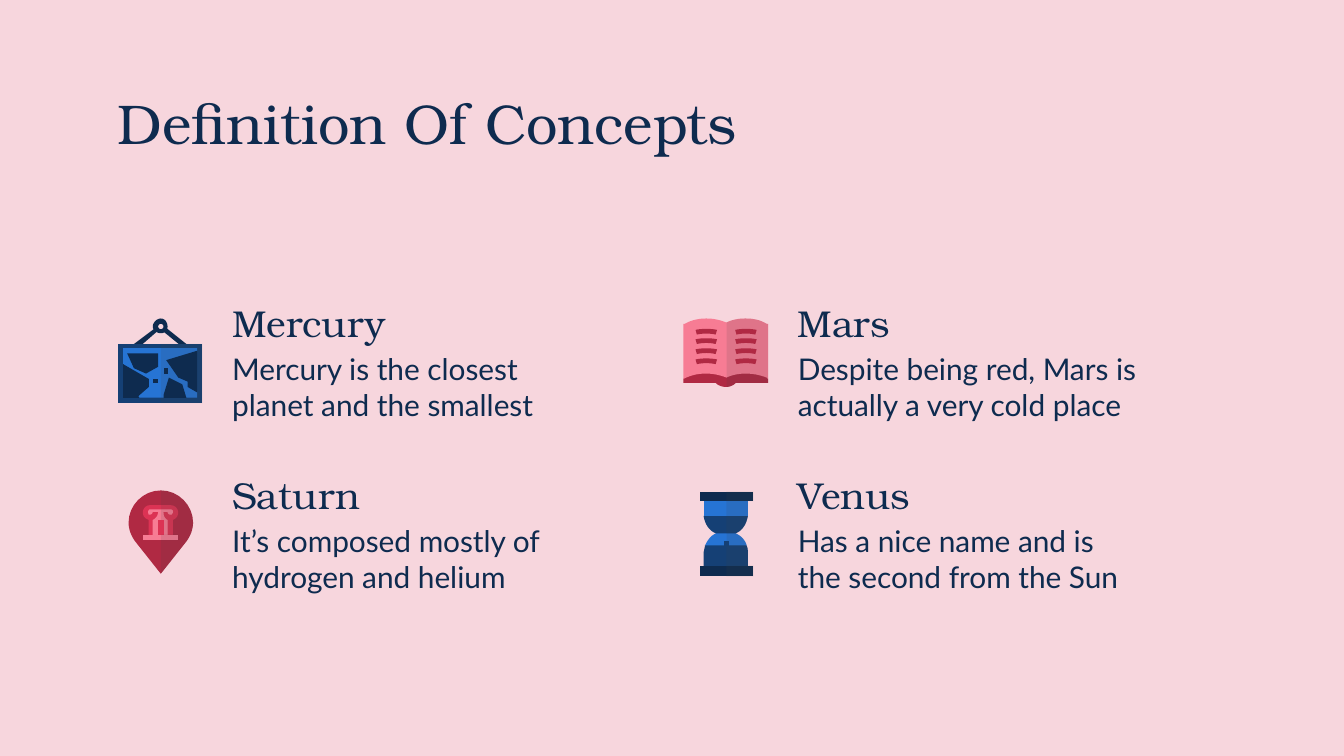
import typing

import lxml.etree
import pptx
import pptx.dml.color
import pptx.enum.text
import pptx.oxml.ns
import pptx.util

Cm = pptx.util.Cm
RGB = pptx.dml.color.RGBColor
Anchor = pptx.enum.text.MSO_ANCHOR

PINK = RGB(0xF7, 0xD6, 0xDD)
NAVY = RGB(0x0E, 0x2B, 0x4F)
DEEP_BLUE = RGB(0x15, 0x40, 0x75)
BLUE = RGB(0x26, 0x74, 0xD4)
CRIMSON = RGB(0xB0, 0x29, 0x43)
RED = RGB(0xDC, 0x33, 0x54)
ROSE = RGB(0xF7, 0x7C, 0x94)
SHADE = RGB(0x43, 0x43, 0x43)
SHADE_ALPHA = "13000"

SERIF, SANS = "TeX Gyre Bonum", "Lato"
ICON_UNIT = 2.54 / 100
CURVE_STEPS = 8
INSET = Cm(0.25)
COLUMN_GAP, ROW_GAP = 10.69, 3.25
ICON_CENTER, ICON_TOP = 3.04, 6.02
TEXT_LEFT, TEXT_WIDTH = 4.14, 6.91
HEADING_TOP, HEADING_HEIGHT = 5.41, 1.37
BODY_TOP, BODY_HEIGHT = 6.38, 1.6

Point = tuple[float, float]


class Part(typing.NamedTuple):
    color: RGB
    outline: str
    shaded: bool = False


class Concept(typing.NamedTuple):
    heading: str
    body: str
    column: int
    row: int
    icon: list[Part]


def box(left: float, top: float, right: float, bottom: float) -> str:
    return f"{left},{top} {right},{top} {right},{bottom} {left},{bottom}"


def text_line(x: float, y: float) -> str:
    return (f"{x - 8},{y + 0.5} {x - 3},{y - 0.5},{x + 3},{y - 0.5},{x + 8},{y + 0.5} "
            f"{x + 7},{y + 4} {x + 2},{y + 3},{x - 2},{y + 3},{x - 7},{y + 4}")


PAINTING = [
    Part(NAVY, "-4,7 -20,19 -17,22 -2,9"),
    Part(NAVY, "4,7 1,9 17,22 19,19"),
    Part(DEEP_BLUE, box(-32, 19, 31, 63), True),
    Part(BLUE, "-28,22 -28,34 -16,59 2,59 9,57 19,59 27,59 27,55 24,36 27,24 27,22", True),
    Part(NAVY, "0,4 1,4,2,5,2,6 2,7,1,8,0,8 -1,8,-2,7,-2,6 -2,5,-1,4,0,4 "
               "0,0 -3,0,-6,3,-6,6 -6,9,-3,11,0,11 3,11,5,9,5,6 5,3,3,0,0,0"),
    Part(NAVY, "-25,26 -20,37 -11,41 -2,36 -2,26"),
    Part(NAVY, box(-6, 45, -2, 48)),
    Part(NAVY, "-28,34 -28,59 -16,59 -17,58 -9,51 -9,45"),
    Part(NAVY, box(2, 37, 5, 41)),
    Part(NAVY, "27,24 4,31 13,44 20,47 20,51 27,55"),
    Part(NAVY, "6,44 2,57 2,59 19,59 16,49"),
]
BOOK = [
    Part(CRIMSON, "0,33 -28,40 -32,45 -32,48 -8,48 -6,50,-3,51,0,51 2,51,5,50,7,48 "
                  "31,48 31,45 28,40", True),
    Part(ROSE, "-15,0 -20,0,-26,1,-31,4 -32,4 -32,45 -26,42,-21,41,-15,41 -10,41,-5,42,0,44 "
               "4,42,9,41,14,41 20,41,25,42,30,44 31,45 31,4 30,4 25,1,20,0,14,0 "
               "9,0,4,1,0,3 -5,1,-10,0,-15,0", True),
    *(Part(CRIMSON, text_line(x, y)) for y in (8, 15, 22.5, 30) for x in (-15, 14.5)),
]
PIN = [
    Part(CRIMSON, "0,0 -13,0,-24,11,-24,24 -24,29,-22,34,-19,38 0,62 19,38 "
                  "22,34,24,29,24,24 24,11,13,0,0,0", True),
    Part(RED, "-8,11 -14,11,-16,20,-9,22 -9,35 9,35 9,22 15,20,14,11,7,11", True),
    Part(ROSE, "-8,14 -9,14,-10,16,-9,18 -8,18 -7,18,-6,17,-6,16 -2,16 -2,19,-4,21,-6,22 "
               "-6,35 5,35 5,22 3,21,2,19,2,16 5,16 5,17,6,18,7,18 8,18 10,16,9,14,7,14", True),
    Part(RED, box(-2, 22, 2, 35)),
    Part(ROSE, box(-13, 33, 13, 37), True),
]
HOURGLASS = [
    Part(BLUE, "0,29 -8,32 -12,34,-14,37,-16,41 0,45 15,41 14,37,11,34,7,32", True),
    Part(DEEP_BLUE, "0,16 -17,19 -16,25,-13,30,-8,32 7,32 12,30,15,25,16,19", True),
    Part(BLUE, box(-17, 5, 16, 19), True),
    Part(NAVY, box(-20, 1, 20, 8), True),
    Part(DEEP_BLUE, box(-2, 38, 2, 43)),
    Part(DEEP_BLUE, "-16,41 -16,43,-17,45,-17,47 -17,60 16,60 16,47 16,45,16,43,15,41", True),
    Part(NAVY, box(-20, 56, 20, 64), True),
]
CONCEPTS = [
    Concept("Mercury", "Mercury is the closest planet and the smallest", 0, 0, PAINTING),
    Concept("Saturn", "It’s composed mostly of hydrogen and helium", 0, 1, PIN),
    Concept("Mars", "Despite being red, Mars is actually a very cold place", 1, 0, BOOK),
    Concept("Venus", "Has a nice name and is the second from the Sun", 1, 1, HOURGLASS),
]


def trace(outline: str) -> list[Point]:
    points: list[Point] = []
    for segment in outline.split():
        values = [float(value) for value in segment.split(",")]
        if len(values) == 2:
            points.append((values[0], values[1]))
            continue
        controls = [points[-1], *zip(values[::2], values[1::2])]
        for step in range(1, CURVE_STEPS + 1):
            t = step / CURVE_STEPS
            weights = ((1 - t) ** 3, 3 * t * (1 - t) ** 2, 3 * t * t * (1 - t), t ** 3)
            points.append((sum(w * x for w, (x, _) in zip(weights, controls)),
                           sum(w * y for w, (_, y) in zip(weights, controls))))
    return points


def right_half(points: list[Point]) -> list[Point]:
    half: list[Point] = []
    for (x1, y1), (x2, y2) in zip(points, points[1:] + points[:1]):
        if x1 >= 0:
            half.append((x1, y1))
        if x1 * x2 < 0:
            half.append((0, y1 - x1 * (y2 - y1) / (x2 - x1)))
    return half


def draw_polygon(shapes, points: list[Point], center: float, top: float, color: RGB):
    corners = [(Cm(center + x * ICON_UNIT), Cm(top + y * ICON_UNIT)) for x, y in points]
    builder = shapes.build_freeform(*corners[0], scale=1.0)
    builder.add_line_segments(corners[1:], close=True)
    polygon = builder.convert_to_shape()
    polygon.shadow.inherit = False
    polygon.fill.solid()
    polygon.fill.fore_color.rgb = color
    polygon.line.fill.background()
    return polygon


def draw_icon(slide, icon: list[Part], center: float, top: float) -> None:
    group = slide.shapes.add_group_shape()
    for part in icon:
        points = trace(part.outline)
        draw_polygon(group.shapes, points, center, top, part.color)
        if part.shaded:
            shade = draw_polygon(group.shapes, right_half(points), center, top, SHADE)
            color = shade._element.spPr.find(".//" + pptx.oxml.ns.qn("a:srgbClr"))
            lxml.etree.SubElement(color, pptx.oxml.ns.qn("a:alpha"), val=SHADE_ALPHA)


def write(holder, text: str, font_name: str, size: int, anchor: Anchor) -> None:
    frame_format = {
        "word_wrap": True, "auto_size": pptx.enum.text.MSO_AUTO_SIZE.NONE,
        "vertical_anchor": anchor, "margin_left": INSET, "margin_right": INSET,
        "margin_top": INSET, "margin_bottom": INSET, "text": text,
    }
    for name, value in frame_format.items():
        setattr(holder.text_frame, name, value)
    paragraph = holder.text_frame.paragraphs[0]
    paragraph.alignment = pptx.enum.text.PP_ALIGN.LEFT
    for name, value in {"name": font_name, "size": pptx.util.Pt(size)}.items():
        setattr(paragraph.runs[0].font, name, value)
    paragraph.runs[0].font.color.rgb = NAVY


def draw_concept(slide, concept: Concept) -> None:
    across, down = concept.column * COLUMN_GAP, concept.row * ROW_GAP
    left, width = Cm(TEXT_LEFT + across), Cm(TEXT_WIDTH)
    heading = slide.shapes.add_textbox(left, Cm(HEADING_TOP + down), width, Cm(HEADING_HEIGHT))
    write(heading, concept.heading, SERIF, 20, Anchor.BOTTOM)
    body = slide.shapes.add_textbox(left, Cm(BODY_TOP + down), width, Cm(BODY_HEIGHT))
    write(body, concept.body, SANS, 16, Anchor.TOP)
    draw_icon(slide, concept.icon, ICON_CENTER + across, ICON_TOP + down)


def main() -> None:
    deck = pptx.Presentation()
    deck.slide_width, deck.slide_height = Cm(25.4), Cm(14.29)
    slide = deck.slides.add_slide(deck.slide_layouts[5])
    slide.background.fill.solid()
    slide.background.fill.fore_color.rgb = PINK
    title_place = {"left": Cm(1.98), "top": Cm(1.5), "width": Cm(21.44), "height": Cm(1.6)}
    for name, value in title_place.items():
        setattr(slide.shapes.title, name, value)
    write(slide.shapes.title, "Definition Of Concepts", SERIF, 30, Anchor.MIDDLE)
    for concept in CONCEPTS:
        draw_concept(slide, concept)
    deck.save("out.pptx")


if __name__ == "__main__":
    main()
